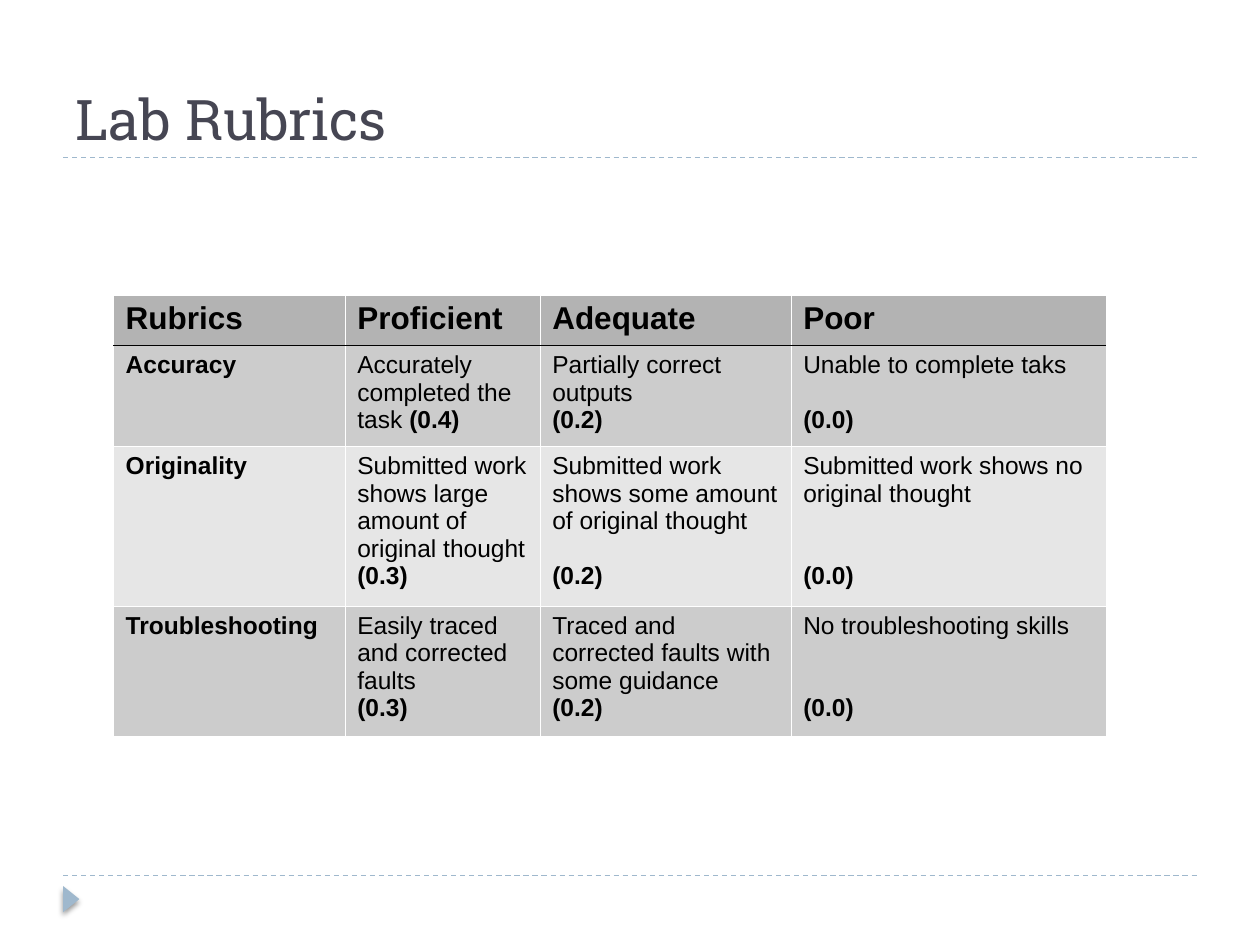
"""Build the lab rubrics slide."""
from dataclasses import dataclass
import lxml.etree
import pptx
import pptx.dml.color
import pptx.enum.dml
import pptx.enum.shapes
import pptx.enum.text
import pptx.oxml
import pptx.oxml.ns
import pptx.util

Cm = pptx.util.Cm
Pt = pptx.util.Pt
qn = pptx.oxml.ns.qn


@dataclass
class Theme:
    ink: str = "000000"
    title: str = "464653"
    accent: str = "9FB8CD"
    edge: str = "FFFFFF"
    head: str = "B3B3B3"
    bands: tuple = ("CCCCCC", "E6E6E6")
    serif: str = "Roboto Slab"
    sans: str = "Arial"
    big: int = 32
    mid: int = 18
    small: int = 14
    lead: float = 15.7
    rule: float = 0.74
    hair: float = 0.06


def rgb(code):
    return pptx.dml.color.RGBColor.from_string(code)


class Page:
    def __init__(self, theme, slide):
        self.theme = theme
        self.slide = slide

    def style(self, run, face, size, color, bold=False):
        run.font.name = face
        run.font.size = Pt(size)
        run.font.bold = bold
        run.font.color.rgb = rgb(color)

    def title(self, text, left, top, width, height):
        box = self.slide.shapes.add_textbox(Cm(left), Cm(top), Cm(width), Cm(height))
        frame = box.text_frame
        frame.word_wrap = True
        frame.vertical_anchor = pptx.enum.text.MSO_ANCHOR.BOTTOM
        frame.text = text
        self.style(frame.paragraphs[0].runs[0], self.theme.serif, self.theme.big, self.theme.title)

    def rule(self, left, right, top):
        kind = pptx.enum.shapes.MSO_CONNECTOR.STRAIGHT
        line = self.slide.shapes.add_connector(kind, Cm(left), Cm(top), Cm(right), Cm(top))
        line.line.color.rgb = rgb(self.theme.accent)
        line.line.width = Pt(self.theme.rule)
        line.line.dash_style = pptx.enum.dml.MSO_LINE.DASH
        lxml.etree.SubElement(line._element.spPr, qn("a:effectLst"))

    def marker(self, left, top, width, height):
        kind = pptx.enum.shapes.MSO_SHAPE.ISOSCELES_TRIANGLE
        mark = self.slide.shapes.add_shape(kind, Cm(left), Cm(top), Cm(width), Cm(height))
        mark.rotation = 90
        mark.fill.solid()
        mark.fill.fore_color.rgb = rgb(self.theme.accent)
        mark.line.fill.background()
        mark.shadow.inherit = False
        glow = mark._element.spPr.find(qn("a:effectLst"))
        shade = lxml.etree.SubElement(glow, qn("a:outerShdw"), blurRad=str(Pt(3)),
                                      dist=str(Pt(2)), dir="5400000", rotWithShape="0")
        tint = lxml.etree.SubElement(shade, qn("a:srgbClr"), val=self.theme.ink)
        lxml.etree.SubElement(tint, qn("a:alpha"), val="40000")

    def edges(self, cell, colors):
        props = cell._tc.get_or_add_tcPr()
        for spot, (side, color) in enumerate(zip("LRTB", colors)):
            line = lxml.etree.Element(qn("a:ln" + side), w=str(Pt(self.theme.hair)))
            fill = lxml.etree.SubElement(line, qn("a:solidFill"))
            lxml.etree.SubElement(fill, qn("a:srgbClr"), val=color)
            props.insert(spot, line)

    def label(self, cell, text, size):
        cell.text_frame.text = text
        self.style(cell.text_frame.paragraphs[0].runs[0], self.theme.sans, size, self.theme.ink, True)

    def grade(self, cell, text, score, gap):
        look = self.theme
        cell.text_frame.text = text
        para = cell.text_frame.paragraphs[0]
        self.style(para.runs[0], look.sans, look.small, look.ink)
        if gap is not None:
            para = cell.text_frame.add_paragraph()
            para.space_before = Pt(gap * look.lead)
        run = para.add_run()
        run.text = score
        self.style(run, look.sans, look.small, look.ink, True)

    def table(self, left, top, widths, heights, heads, body):
        look = self.theme
        frame = self.slide.shapes.add_table(len(heights), len(widths), Cm(left), Cm(top),
                                            Cm(sum(widths)), Cm(sum(heights)))
        grid = frame.table
        for col, width in zip(grid.columns, widths):
            col.width = Cm(width)
        for row, height in zip(grid.rows, heights):
            row.height = Cm(height)
        for col, text in enumerate(heads):
            self.label(grid.cell(0, col), text, look.mid)
        for row, (name, *grades) in enumerate(body, 1):
            self.label(grid.cell(row, 0), name, look.small)
            for col, item in enumerate(grades, 1):
                self.grade(grid.cell(row, col), *item)
        for row in range(len(heights)):
            fill = look.bands[(row - 1) % 2] if row else look.head
            above = look.ink if row == 1 else look.edge
            below = look.ink if row == 0 else look.edge
            for col in range(len(widths)):
                cell = grid.cell(row, col)
                cell.fill.solid()
                cell.fill.fore_color.rgb = rgb(fill)
                self.edges(cell, (look.edge, look.edge, above, below))


HEADS = ("Rubrics", "Proficient", "Adequate", "Poor")
BODY = (
    ("Accuracy",
     ("Accurately completed the task ", "(0.4)", None),
     ("Partially correct outputs", "(0.2)", 0),
     ("Unable to complete taks", "(0.0)", 1)),
    ("Originality",
     ("Submitted work shows large amount of original thought", "(0.3)", 0),
     ("Submitted work shows some amount of original thought", "(0.2)", 1),
     ("Submitted work shows no original thought", "(0.0)", 2)),
    ("Troubleshooting",
     ("Easily traced and corrected faults", "(0.3)", 0),
     ("Traced and corrected faults with some guidance", "(0.2)", 0),
     ("No troubleshooting skills", "(0.0)", 2)),
)

deck = pptx.Presentation()
deck.slide_width, deck.slide_height = Cm(25.4), Cm(19.05)
page = Page(Theme(), deck.slides.add_slide(deck.slide_layouts[6]))
for top in (17.65, 3.18):
    page.rule(1.27, 24.13, top)
page.marker(1.17, 17.96, 0.53, 0.33)
page.title("Lab Rubrics", 1.27, 0.45, 22.86, 2.74)
page.table(2.28, 5.94, (4.67, 3.93, 5.06, 6.35), (0.97, 1.92, 3.02, 2.47), HEADS, BODY)
deck.save("out.pptx")
